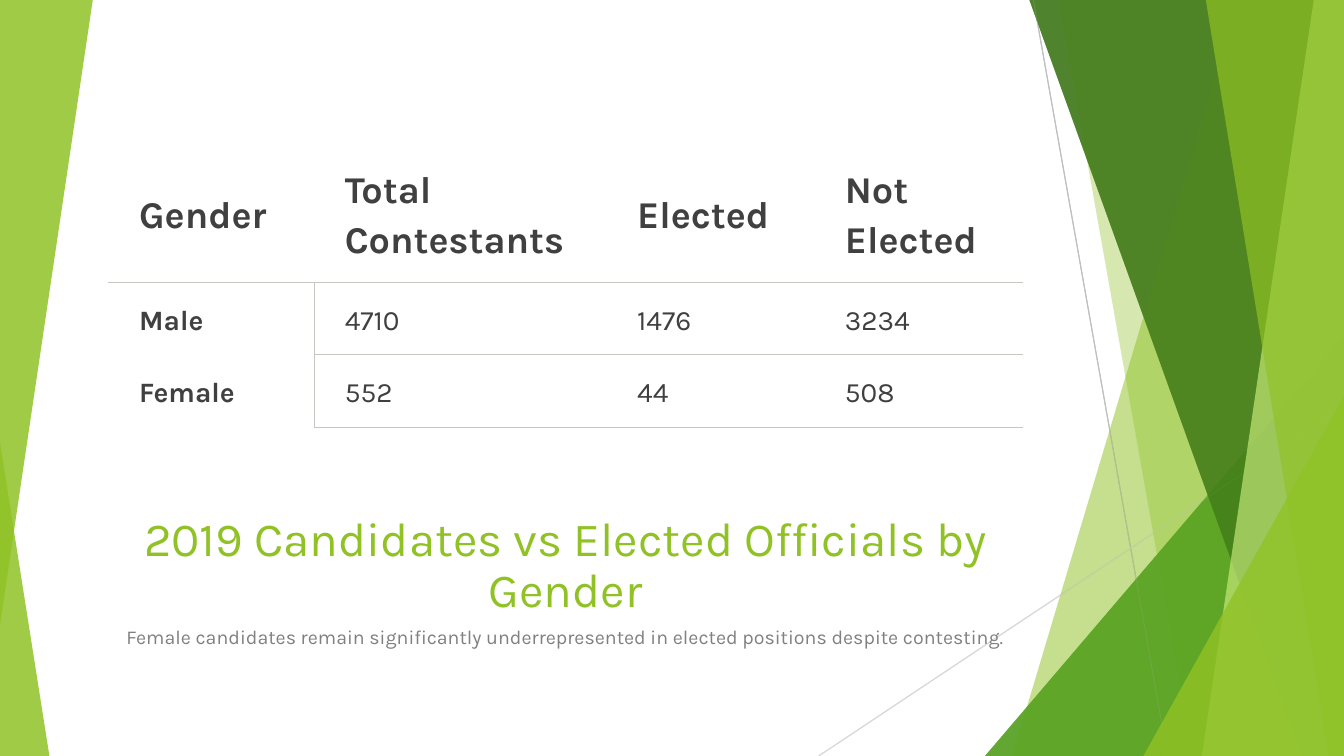
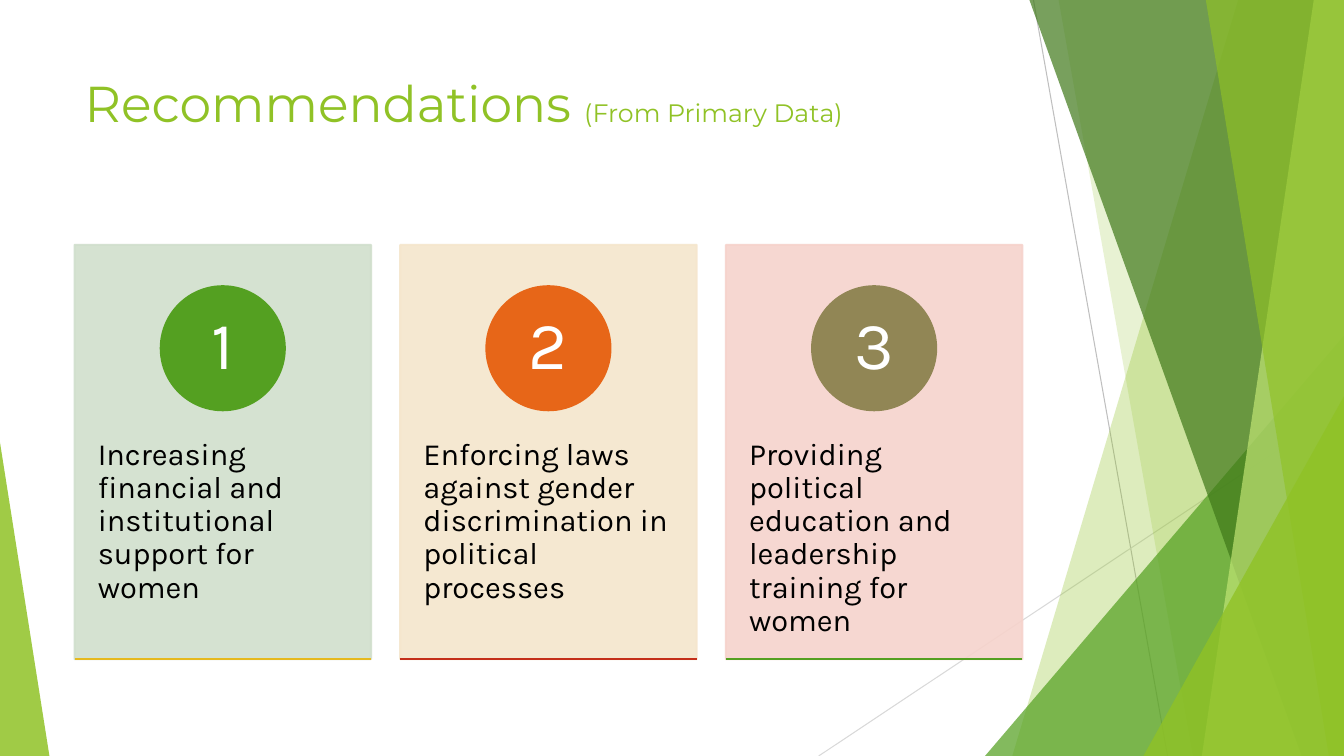
from lxml import etree
from pptx import Presentation
from pptx.dml.color import RGBColor
from pptx.enum.shapes import MSO_CONNECTOR as Connector, MSO_SHAPE as Preset
from pptx.enum.text import MSO_ANCHOR as Anchor, MSO_AUTO_SIZE as AutoSize, PP_ALIGN as Align
from pptx.oxml.ns import qn
from pptx.util import Inches, Pt

COLOURS = {
    "lime": "90C226", "green": "54A021", "forest": "3F7819", "pale_lime": "C0E474",
    "line_dark": "BFBFBF", "line_light": "D9D9D9", "border": "C7C6C1",
    "dark": "404040", "grey": "808080", "black": "000000", "white": "FFFFFF",
    "sage": "D1DFCD", "sand": "F5E6CD", "rose": "F6D3CC",
    "orange": "E76618", "olive": "918655", "gold": "E6B91E", "red": "C42F1A",
}
BODY_FONT, DISPLAY_FONT = "Karla", "Montserrat"
WIDTH, HEIGHT = 13.33, 7.5

# Facets: colour, opacity, then either the four corners' x (top left, top right,
# bottom right, bottom left) or a triangle as (left, top, width, height).
RIGHT_FACETS = [
    ("lime", 30, "band", (12.28, WIDTH, WIDTH, 10.04)),
    ("lime", 20, "band", (10.5, WIDTH, WIDTH, 11.83)),
    ("green", 72, "triangle", (9.77, 3.33, 3.56, 4.17)),
    ("forest", 70, "band", (10.21, WIDTH, WIDTH, 12.91)),
    ("pale_lime", 70, "band", (13.03, WIDTH, WIDTH, 11.92)),
    ("lime", 65, "band", (11.96, WIDTH, WIDTH, 13.18)),
    ("lime", 80, "triangle", (11.34, 3.93, 1.99, 3.57)),
]
HAIRLINES = [
    ("line_dark", (10.25, 0, 11.58, HEIGHT)),
    ("line_light", (WIDTH, 4.03, 8.12, HEIGHT)),
]

TABLE_ROWS = [
    ("Gender", "Total Contestants", "Elected", "Not Elected"),
    ("Male", "4710", "1476", "3234"),
    ("Female", "552", "44", "508"),
]
CARDS = [
    ("Increasing financial and institutional support for women",
     "sage", "green", "gold"),
    ("Enforcing laws against gender discrimination in political processes",
     "sand", "orange", "red"),
    ("Providing political education and leadership training for women",
     "rose", "olive", "green"),
]


def colour(name):
    return RGBColor.from_string(COLOURS[name])


def inches(values):
    return [Inches(value) for value in values]


def set_all(target, values):
    for name, value in values.items():
        setattr(target, name, value)


def paint(shape, fill, opacity=100, outline=None):
    shape.shadow.inherit = False
    shape.fill.solid()
    shape.fill.fore_color.rgb = colour(fill)
    if outline:
        shape.line.color.rgb = colour(outline)
        shape.line.width = Pt(1.5)
    else:
        shape.line.fill.background()
    if opacity < 100:
        for node in shape.element.spPr.iter(qn("a:srgbClr")):
            etree.SubElement(node, qn("a:alpha"), val=str(opacity * 1000))


def write(frame, runs, paragraph=None, insets=None, anchor=Anchor.TOP):
    """Fill a frame with one paragraph of (text, font, size, colour, bold) runs."""
    set_all(frame, {"word_wrap": True, "vertical_anchor": anchor})
    if insets:
        sides = ("margin_left", "margin_top", "margin_right", "margin_bottom")
        set_all(frame, dict(zip(sides, inches(insets))))
    para = frame.paragraphs[0]
    set_all(para, {"alignment": Align.LEFT, **(paragraph or {})})
    for text, font, size, tint, bold in runs:
        span = para.add_run()
        span.text = text
        set_all(span.font, {"name": font, "size": Pt(size), "bold": bold})
        span.font.color.rgb = colour(tint)
    return para


def write_placeholder(holder, area, runs, **layout):
    set_all(holder, dict(zip(("left", "top", "width", "height"), inches(area))))
    holder.text_frame.auto_size = AutoSize.NONE
    return write(holder.text_frame, runs, **layout)


def remove_bullet(para):
    properties = para._p.get_or_add_pPr()
    set_margins = {"marL": "0", "indent": "0"}
    for name, value in set_margins.items():
        properties.set(name, value)
    etree.SubElement(properties, qn("a:buNone"))


def add_line(slide, ends, tint, width):
    line = slide.shapes.add_connector(Connector.STRAIGHT, *inches(ends))
    line.line.color.rgb = colour(tint)
    line.line.width = Pt(width)
    etree.SubElement(line.element.spPr, qn("a:effectLst"))
    return line


def add_triangle(slide, area, opacity, apex):
    triangle = slide.shapes.add_shape(Preset.ISOSCELES_TRIANGLE, *inches(area))
    triangle.adjustments[0] = apex
    paint(triangle, "lime", opacity)
    return triangle


def add_band(slide, corners):
    points = [inches(point) for point in zip(corners, (0, 0, HEIGHT, HEIGHT))]
    builder = slide.shapes.build_freeform(*points[0])
    builder.add_line_segments(points[1:])
    return builder.convert_to_shape()


def add_right_facets(slide):
    parts = [add_line(slide, ends, tint, 0.75) for tint, ends in HAIRLINES]
    for tint, opacity, kind, geometry in RIGHT_FACETS:
        if kind == "band":
            facet = add_band(slide, geometry)
        else:
            facet = add_triangle(slide, geometry, opacity, 1)
        paint(facet, tint, opacity)
        parts.append(facet)
    return parts


def send_to_back(parts, shapes):
    """Move parts, in order, behind everything in a slide's or master's shapes."""
    for index, part in enumerate(parts, start=2):
        shapes.element.insert(index, part.element)


def decorate_master(deck, slide):
    """Build the shared facets on a slide, then hand them to the master."""
    corner = add_triangle(slide, (0, 4.39, 0.49, 3.11), 85, 0)
    send_to_back(add_right_facets(slide) + [corner], deck.slide_master.shapes)


def set_borders(cell, sides):
    properties = cell._tc.get_or_add_tcPr()
    for index, side in enumerate(sides):
        line = etree.Element(qn(f"a:ln{side}"), w=str(Pt(0.75)))
        fill = etree.SubElement(line, qn("a:solidFill"))
        etree.SubElement(fill, qn("a:srgbClr"), val=COLOURS["border"])
        properties.insert(index, line)


def border_sides(row, column):
    if row == 0:
        return "B"
    if column == 0:
        return "RT" if row == 1 else "R"
    return "LTB" if column == 1 else "TB"


def add_results_table(slide):
    area = inches((1.08, 1.42, 9.06, 2.82))
    table = slide.shapes.add_table(len(TABLE_ROWS), len(TABLE_ROWS[0]), *area).table
    set_all(table, {"first_row": False, "horz_banding": False})
    for column, width in zip(table.columns, (2.04, 2.9, 2.06, 2.06)):
        column.width = Inches(width)
    for row, height in zip(table.rows, (1.38, 0.72, 0.72)):
        row.height = Inches(height)
    spacing = {"line_spacing": 1.15, "space_after": Pt(8)}
    for row, texts in enumerate(TABLE_ROWS):
        for column, text in enumerate(texts):
            cell = table.cell(row, column)
            size = 20 if row else 27
            bold = row == 0 or column == 0
            write(cell.text_frame, [(text, BODY_FONT, size, "dark", bold)], spacing)
            set_all(cell, {
                "margin_left": Inches(0.3), "margin_right": Inches(0.23),
                "margin_top": Inches(0.15), "margin_bottom": Inches(0.15),
                "vertical_anchor": Anchor.MIDDLE,
            })
            cell.fill.background()
            set_borders(cell, border_sides(row, column))


def add_card(slide, number, left, text, fill, badge_fill, base):
    top, width, height, badge_size = 2.43, 2.94, 4.11, 1.23
    tight = {"line_spacing": 0.9}
    card = slide.shapes.add_shape(Preset.RECTANGLE, *inches((left, top, width, height)))
    paint(card, fill, 90, fill)
    write(card.text_frame, [(text, BODY_FONT, 22, "black", False)], tight,
          (0.23, 1.92, 0.23, 0.36))

    badge_left = left + (width - badge_size) / 2
    badge = slide.shapes.add_shape(
        Preset.OVAL, *inches((badge_left, top + 0.41, badge_size, badge_size)))
    paint(badge, badge_fill, outline=badge_fill)
    write(badge.text_frame, [(str(number), BODY_FONT, 48, "white", False)],
          {**tight, "alignment": Align.CENTER}, (0.1, 0.01, 0.1, 0.01), Anchor.MIDDLE)

    bottom = top + height
    add_line(slide, (left, bottom, left + width, bottom), base, 1.5)


def build_results(slide):
    top_corner = add_triangle(slide, (0, 0, 0.92, 6.2), 85, 1)
    top_corner.rotation = 180
    send_to_back(add_right_facets(slide) + [top_corner], slide.shapes)

    title, caption = slide.placeholders
    centred = {"alignment": Align.CENTER, "line_spacing": 0.9}
    write_placeholder(
        title, (1.08, 4.98, 9.06, 1.2),
        [("2019 Candidates vs Elected Officials by Gender", BODY_FONT, 34, "lime", False)],
        paragraph=centred, anchor=Anchor.BOTTOM)
    para = write_placeholder(
        caption, (1.08, 6.18, 9.06, 0.51),
        [("Female candidates remain significantly underrepresented in elected "
          "positions despite contesting.", BODY_FONT, 14, "grey", False)],
        paragraph={**centred, "space_before": Pt(10)})
    remove_bullet(para)
    add_results_table(slide)


def build_recommendations(slide):
    write_placeholder(
        slide.shapes.title, (0.74, 0.67, 9.4, 1.44),
        [("Recommendations ", DISPLAY_FONT, 36, "lime", False),
         ("(From Primary Data)", DISPLAY_FONT, 18, "lime", False)])
    for index, card in enumerate(CARDS):
        add_card(slide, index + 1, 0.74 + 3.23 * index, *card)


def main():
    deck = Presentation()
    set_all(deck, {"slide_width": Inches(WIDTH), "slide_height": Inches(HEIGHT)})
    title_and_content, title_only = deck.slide_layouts[1], deck.slide_layouts[5]
    results = deck.slides.add_slide(title_and_content)
    decorate_master(deck, results)
    build_results(results)
    build_recommendations(deck.slides.add_slide(title_only))
    deck.save("out.pptx")


if __name__ == "__main__":
    main()
